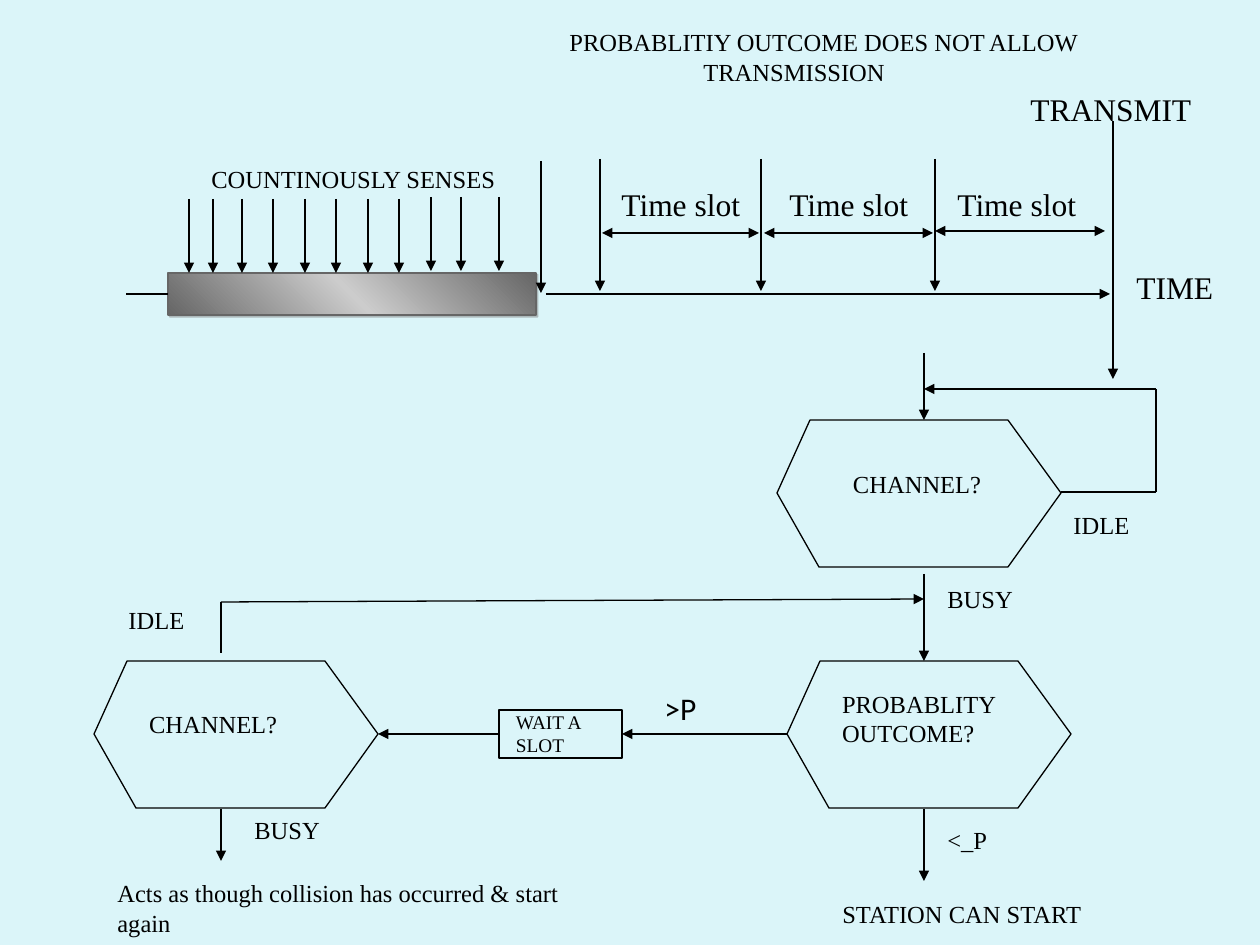
from copy import deepcopy

from lxml.etree import SubElement
from pptx import Presentation
from pptx.dml.color import RGBColor
from pptx.enum.shapes import MSO_CONNECTOR as LINK, MSO_SHAPE as PRESET
from pptx.enum.text import MSO_ANCHOR, MSO_AUTO_SIZE, PP_ALIGN
from pptx.oxml.ns import qn
from pptx.util import Pt

PX = 914400 / 126
INK, PAPER, DARK, LIGHT = "000000", "DBF5F9", "666666", "CCCCCC"
SERIF = "Times New Roman"


def emu(*lengths):
    return [round(length * PX) for length in lengths]


def draw_line(x1, y1, x2, y2, ends=""):
    """Draw a thin line; ends lists the arrowheads, such as "tail" or "head tail"."""
    link = slide.shapes.add_connector(LINK.STRAIGHT, *emu(x1, y1, x2, y2))
    link.line.color.rgb = RGBColor.from_string(INK)
    link.line.width = Pt(0.75)
    properties = link._element.spPr
    for end in ends.split():
        SubElement(properties.find(qn("a:ln")), qn(f"a:{end}End"), type="triangle")
    SubElement(properties, qn("a:effectLst"))
    return link


deck = Presentation()
deck.slide_width, deck.slide_height = emu(1260, 945)
slide = deck.slides.add_slide(deck.slide_layouts[6])
slide.background.fill.solid()
slide.background.fill.fore_color.rgb = RGBColor.from_string(PAPER)

# Busy period on the time axis
busy_period = slide.shapes.add_shape(PRESET.RECTANGLE, *emu(168, 273, 368, 42))
busy_period.fill.gradient()
busy_period.fill.gradient_angle = 45
first_stop = busy_period.fill.gradient_stops[0]._gs
first_stop.addnext(deepcopy(first_stop))
for stop, position, shade in zip(busy_period.fill.gradient_stops, (0, 0.5, 1), (DARK, LIGHT, DARK)):
    stop.position = position
    stop.color.rgb = RGBColor.from_string(shade)
busy_period.line.color.rgb = RGBColor.from_string(DARK)
busy_period.line.width = Pt(1)
busy_period.shadow.inherit = False
effects = busy_period._element.spPr.find(qn("a:effectLst"))
shadow = SubElement(effects, qn("a:outerShdw"), dist="17780", dir="2700000", rotWithShape="0")
shadow_color = SubElement(shadow, qn("a:srgbClr"), val="7F7F7F")
SubElement(shadow_color, qn("a:alpha"), val="50000")

draw_line(126, 294, 168, 294).end_connect(busy_period, 1)
draw_line(546, 294, 1110, 294, "tail")
for x in (189, 213, 242, 273, 305, 336, 368, 399):
    draw_line(x, 199, x, 273, "tail")
for x in (431, 461, 499):
    draw_line(x, 197, x, 271, "tail")
draw_line(541, 161, 541, 293, "tail")
for x in (600, 761, 935):
    draw_line(x, 159, x, 291, "tail")
draw_line(1113, 121, 1113, 379, "tail")
for left, right, y in ((602, 759, 233), (764, 933, 233), (935, 1105, 231)):
    draw_line(left, y, right, y, "head tail")

# Flow chart steps: text, size, then left and top insets
steps = []
for x, y, text, inset_left, inset_top in (
    (777, 420, "CHANNEL?", 76, 49),
    (787, 661, "PROBABLITY OUTCOME?", 55, 28),
    (94, 661, "CHANNEL?", 55, 48),
):
    outline = slide.shapes.build_freeform(x, y + 73, scale=PX)
    corners = ((33, 0), (231, 0), (284, 73), (231, 147), (42, 147))
    outline.add_line_segments([(x + dx, y + dy) for dx, dy in corners])
    steps.append((outline.convert_to_shape(), text, 14, inset_left, inset_top))
wait = slide.shapes.add_shape(PRESET.RECTANGLE, *emu(499, 710, 123, 48))
steps.append((wait, "WAIT A SLOT", 11, 17, 0))

captions = []
for step, text, size, inset_left, inset_top in steps:
    step.fill.background()
    step.line.color.rgb = RGBColor.from_string(INK)
    step.line.width = Pt(0.75)
    step.shadow.inherit = False
    left, top, right = emu(inset_left, inset_top, 12)
    layout = {"margin_left": left, "margin_top": top, "margin_right": right,
              "margin_bottom": 0, "vertical_anchor": MSO_ANCHOR.TOP}
    for name, value in layout.items():
        setattr(step.text_frame, name, value)
    captions.append((step, text, size, SERIF))

draw_line(787, 734, 622, 734, "tail").end_connect(wait, 3)
draw_line(499, 734, 378, 734, "tail").begin_connect(wait, 1)
for route in (
    (924, 353, 924, 420, "tail"),
    (1061, 492, 1156, 492),
    (1156, 492, 1156, 389),
    (1156, 389, 924, 389, "tail"),
    (924, 574, 924, 661, "tail"),
    (924, 809, 924, 881, "tail"),
    (221, 653, 221, 602),
    (221, 602, 924, 599, "tail"),
    (221, 809, 221, 861, "tail"),
):
    draw_line(*route)

# Labels
for text, size, x, y, width, height in (
    ("COUNTINOUSLY SENSES", 14, 199, 158, 368, 43),
    ("PROBABLITIY OUTCOME DOES NOT ALLOW\nTRANSMISSION", 14, 557, 21, 609, 72),
    ("Time slot", 18, 609, 179, 147, 50),
    ("Time slot", 18, 777, 179, 147, 50),
    ("Time slot", 18, 945, 179, 147, 50),
    ("TRANSMIT", 18, 1018, 84, 199, 50),
    ("TIME", 18, 1124, 262, 136, 50),
    ("IDLE", 14, 116, 599, 105, 43),
    ("IDLE", 14, 1061, 504, 85, 43),
    ("BUSY", 14, 935, 578, 95, 43),
    ("BUSY", 14, 242, 809, 126, 43),
    (">P", 18, 652, 683, 95, 50),
    ("<_P", 14, 935, 819, 168, 43),
    ("STATION CAN START", 14, 830, 893, 305, 43),
    ("Acts as though collision has occurred & start again", 14, 105, 872, 504, 72),
):
    label = slide.shapes.add_textbox(*emu(x, y, width, height))
    label.text_frame.auto_size = MSO_AUTO_SIZE.SHAPE_TO_FIT_TEXT
    captions.append((label, text, size, "Calibri" if text == ">P" else SERIF))

for holder, text, size, face in captions:
    holder.text_frame.word_wrap = True
    holder.text_frame.text = text
    for paragraph in holder.text_frame.paragraphs:
        paragraph.alignment = PP_ALIGN.LEFT
        if paragraph.text == "TRANSMISSION":
            paragraph._p.get_or_add_pPr().set("marL", str(emu(134)[0]))
        for name, value in {"name": face, "size": Pt(size)}.items():
            setattr(paragraph.font, name, value)
        paragraph.font.color.rgb = RGBColor.from_string(INK)

deck.save("out.pptx")
